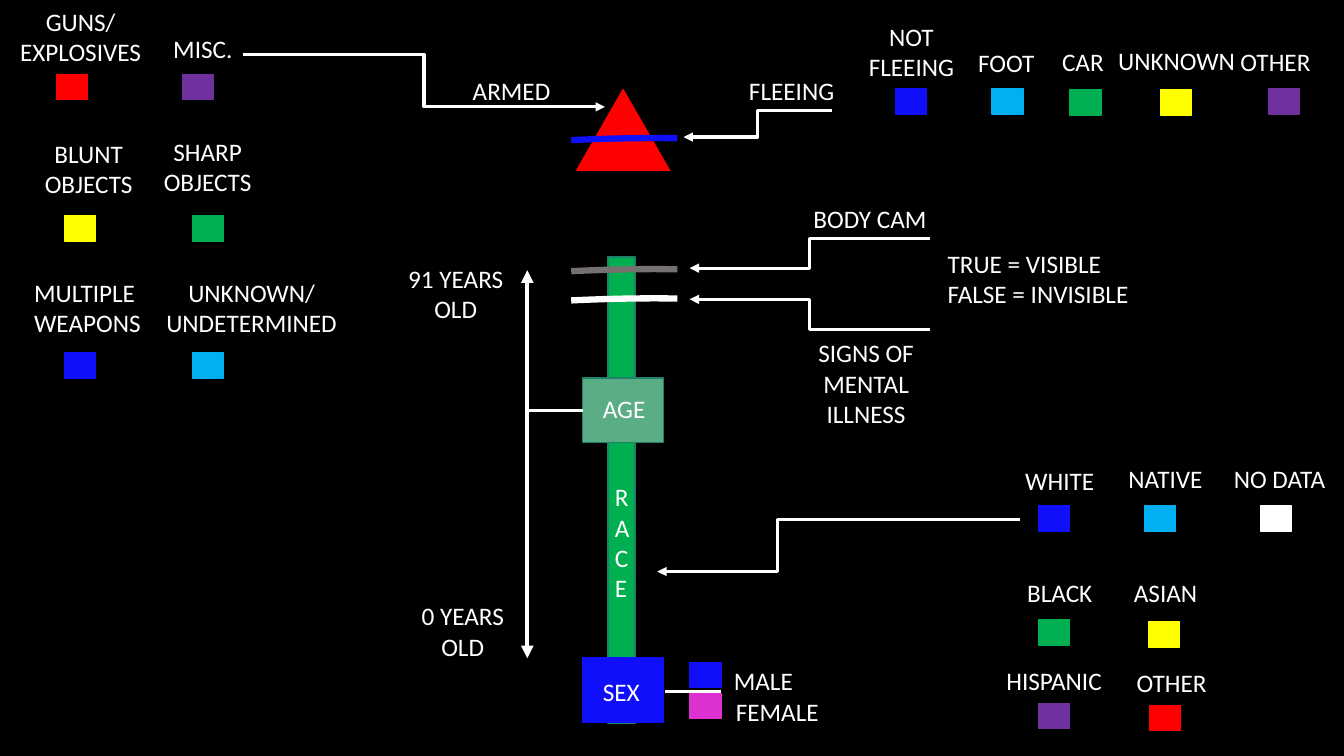
from dataclasses import dataclass
from lxml.etree import SubElement
from pptx import Presentation
from pptx.dml.color import RGBColor
from pptx.enum.shapes import MSO_CONNECTOR, MSO_SHAPE
from pptx.enum.text import PP_ALIGN
from pptx.oxml.ns import qn
from pptx.util import Inches, Pt


@dataclass(frozen=True)
class Theme:
    font: str = "Calibri"
    size: float = 18
    black: str = "000000"
    white: str = "FFFFFF"
    blue: str = "0F0FF9"
    sky: str = "00B0F0"
    green: str = "00B050"
    edge: str = "1E8168"
    sage: str = "5BAD86"
    red: str = "FF0000"
    yellow: str = "FFFF00"
    purple: str = "7030A0"
    pink: str = "DC30D0"
    gray: str = "767171"
    thin: float = 1
    link: float = 2.25
    axis: float = 3
    band: float = 4.5


THEME = Theme()
CELL = 0.1  # grid of 133.3 columns by 75 rows
SWATCH = (3.1, 2.5)


def grid(*cells):
    return [Inches(cell * CELL) for cell in cells]


def write(frame, text, align=PP_ALIGN.LEFT, spacing=None, color=THEME.white):
    frame.word_wrap = True
    for index, line in enumerate(text.split("\n")):
        paragraph = frame.paragraphs[0] if index == 0 else frame.add_paragraph()
        paragraph.alignment = align
        if spacing:
            paragraph.line_spacing = spacing
        run = paragraph.add_run()
        run.text = line
        run.font.name, run.font.size = THEME.font, Pt(THEME.size)
        run.font.color.rgb = RGBColor.from_string(color)


class Canvas:
    def __init__(self, slide, theme):
        self.slide, self.theme = slide, theme
        slide.background.fill.solid()
        slide.background.fill.fore_color.rgb = RGBColor.from_string(theme.black)

    def outline(self, item, color, width):
        item.line.color.rgb = RGBColor.from_string(color)
        item.line.width = Pt(width)

    def block(self, at, fill, edge=None, kind=MSO_SHAPE.RECTANGLE):
        item = self.slide.shapes.add_shape(kind, *grid(*at))
        item.shadow.inherit = False
        item.fill.solid()
        item.fill.fore_color.rgb = RGBColor.from_string(fill)
        self.outline(item, edge or fill, self.theme.thin)

    def band(self, top, color):
        item = self.slide.shapes.add_shape(MSO_SHAPE.ARC, *grid(37.1, top, 39.3, 4))
        item.shadow.inherit = False
        item.adjustments[0], item.adjustments[1] = 162, 210.53
        item.rotation = 357.3
        item.fill.background()
        self.outline(item, color, self.theme.band)

    def label(self, text, left, top, width, lines=1, **style):
        at = grid(left, top, width, 1 + 3 * lines)
        write(self.slide.shapes.add_textbox(*at).text_frame, text, **style)

    def link(self, start, end, elbow=False, arrows=(), width=None, bend=None):
        kind = MSO_CONNECTOR.ELBOW if elbow else MSO_CONNECTOR.STRAIGHT
        item = self.slide.shapes.add_connector(kind, *grid(*start, *end))
        self.outline(item, self.theme.white, width or self.theme.link)
        line = item.line._get_or_add_ln()
        for tip in arrows:
            SubElement(line, qn(f"a:{tip}"), type="triangle")
        properties = item._element.spPr
        SubElement(properties, qn("a:effectLst"))
        if bend:
            values = properties.find(qn("a:prstGeom")).get_or_add_avLst()
            SubElement(values, qn("a:gd"), name="adj1", fmla=f"val {round(bend * 100000)}")

    def key(self, text, color, label_at, swatch_at, lines=1, align=PP_ALIGN.CENTER):
        self.block((*swatch_at, *SWATCH), color)
        self.label(text, *label_at, lines=lines, align=align)


deck = Presentation()
deck.slide_width, deck.slide_height = Inches(13.33), Inches(7.5)
canvas = Canvas(deck.slides.add_slide(deck.slide_layouts[6]), THEME)
t, left, center = THEME, PP_ALIGN.LEFT, PP_ALIGN.CENTER

# Glyph: race stem, sex and age boxes, armed triangle, status bands
canvas.block((60.3, 25.5, 2.7, 46.3), t.green, t.edge)
canvas.block((57.8, 65.3, 8, 6.4), t.blue)
canvas.block((57.8, 37.5, 8, 6.4), t.sage, t.edge)
canvas.block((57.2, 8.9, 9.2, 8), t.red, kind=MSO_SHAPE.ISOSCELES_TRIANGLE)
for top, color in ((13.9, t.blue), (26.9, t.gray), (29.8, t.white)):
    canvas.band(top, color)
canvas.label("SEX", 58.8, 66.6, 6.5)
canvas.label("AGE", 58.8, 38.5, 6.5)
canvas.label("RACE", 60, 47.3, 3.2, lines=4)

# Age axis
canvas.link((52.3, 26.8), (52.3, 65.3), arrows=("headEnd", "tailEnd"), width=t.axis)
canvas.link((52.3, 40.7), (57.8, 40.7))
canvas.label("91 YEARS OLD", 38.9, 25.6, 12.6, lines=2, align=center)
canvas.label("0 YEARS OLD", 39.6, 59.1, 12.6, lines=2, align=center)

# Sex key
for top, color in ((65.7, t.blue), (68.8, t.pink)):
    canvas.block((68.4, top, *SWATCH), color)
canvas.link((66, 68.6), (71.5, 68.6))
canvas.label("MALE", 71.8, 64, 11.2, spacing=1.5)
canvas.label("FEMALE", 72, 67.1, 11.2, spacing=1.5)

# Callout arrows into the glyph
for start, end, bend in (
    ((24.1, 5.4), (60, 10.6), None),
    ((82.5, 11), (67.8, 13.6), None),
    ((92.2, 23.7), (68.4, 26.6), None),
    ((92.2, 32.7), (68.4, 29.7), None),
    ((101.2, 51.5), (65.2, 56.7), 0.67),
):
    canvas.link(start, end, elbow=True, arrows=("tailEnd",), bend=bend)
canvas.label("ARMED", 45.9, 7, 9.9)
canvas.label("FLEEING", 73.3, 7, 11.2)
canvas.label("BODY CAM", 79.7, 19.7, 13.3)
canvas.label("SIGNS OF MENTAL ILLNESS", 80, 33, 11.8, lines=3, align=center)
canvas.label("TRUE = VISIBLE\nFALSE = INVISIBLE", 93, 24.1, 20.9, lines=2)

# Armed key
canvas.key("MISC.", t.purple, (16.2, 2.8, 11), (18.1, 7.4), align=left)
canvas.key("MULTIPLE WEAPONS", t.blue, (2.4, 27, 13.7), (6.4, 35), lines=2, align=left)
for text, color, label_at, swatch_at in (
    ("GUNS/ EXPLOSIVES", t.red, (0.8, 0.1, 14.4), (5.6, 7.4)),
    ("BLUNT OBJECTS", t.yellow, (3.3, 13.2, 11), (6.4, 21.4)),
    ("SHARP OBJECTS", t.green, (15.1, 13, 11), (19.1, 21.4)),
    ("UNKNOWN/ UNDETERMINED", t.sky, (15.4, 27, 19.1), (19.1, 35)),
    # Fleeing key, first entry
    ("NOT FLEEING", t.blue, (84.8, 1.6, 11.2), (88.8, 8.8)),
):
    canvas.key(text, color, label_at, swatch_at, lines=2)

# Remaining fleeing entries, then the race key
for text, color, label_at, swatch_at in (
    ("FOOT", t.sky, (94.2, 4.2, 11.2), (98.4, 8.8)),
    ("CAR", t.green, (101.8, 4.1, 11.2), (106.1, 8.9)),
    ("UNKNOWN", t.yellow, (109.1, 4, 15.2), (115.1, 8.9)),
    ("OTHER", t.purple, (120.9, 4.1, 11.2), (125.8, 8.8)),
    ("WHITE", t.blue, (99.5, 45.7, 11.2), (103, 50.2)),
    ("NATIVE", t.sky, (110, 45.5, 11.2), (113.5, 50.2)),
    ("NO DATA", t.white, (121.3, 45.5, 11.2), (125, 50.2)),
    ("BLACK", t.green, (99.5, 56.8, 11.2), (103, 61.5)),
    ("ASIAN", t.yellow, (110, 56.8, 11.2), (113.9, 61.7)),
    ("HISPANIC", t.purple, (98.4, 65.5, 12.3), (103, 69.8)),
    ("OTHER", t.red, (110.6, 65.7, 11.2), (114, 70)),
):
    canvas.key(text, color, label_at, swatch_at)

deck.save("out.pptx")
